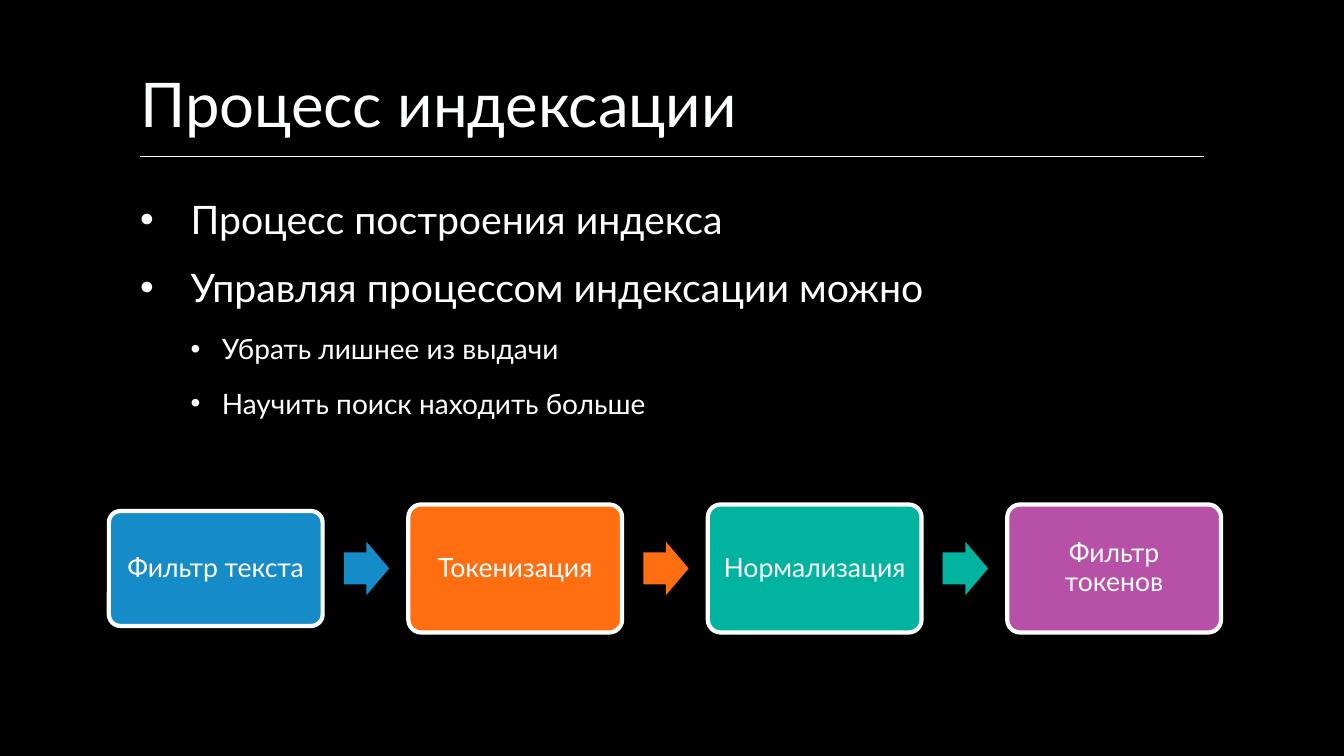
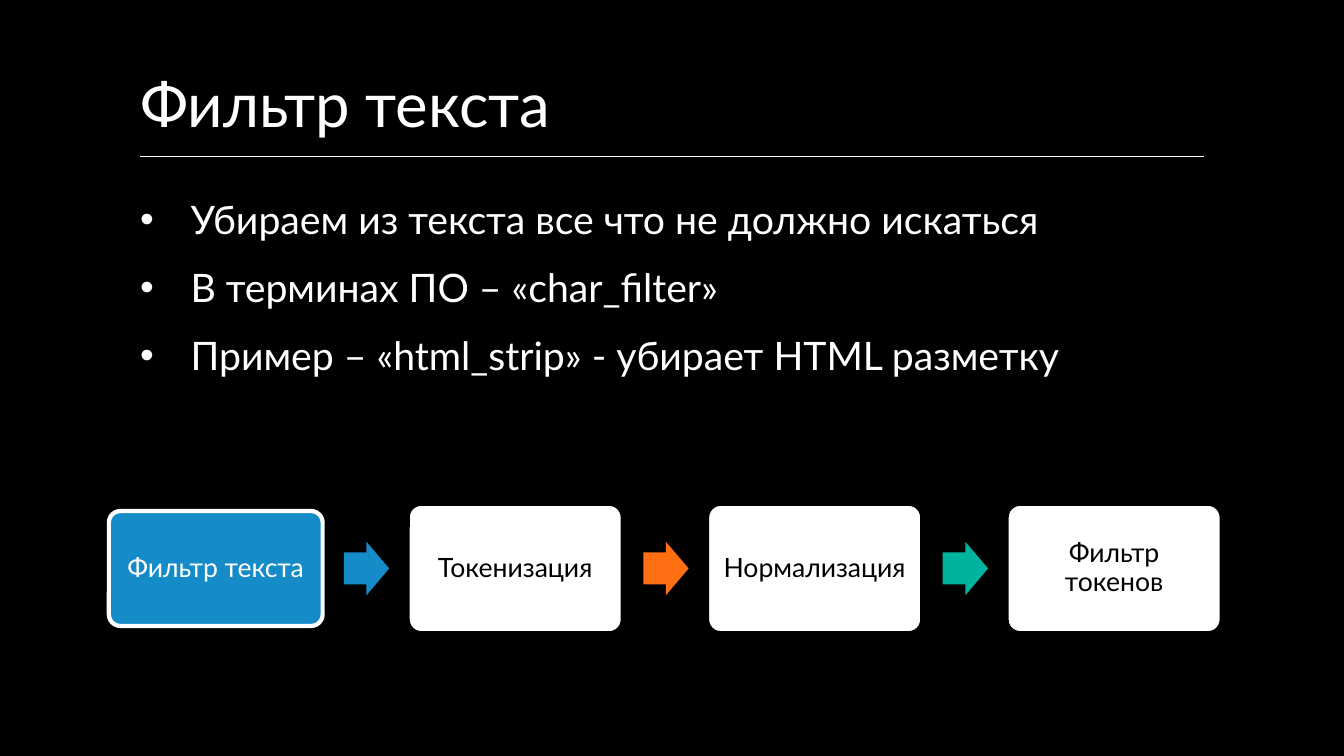
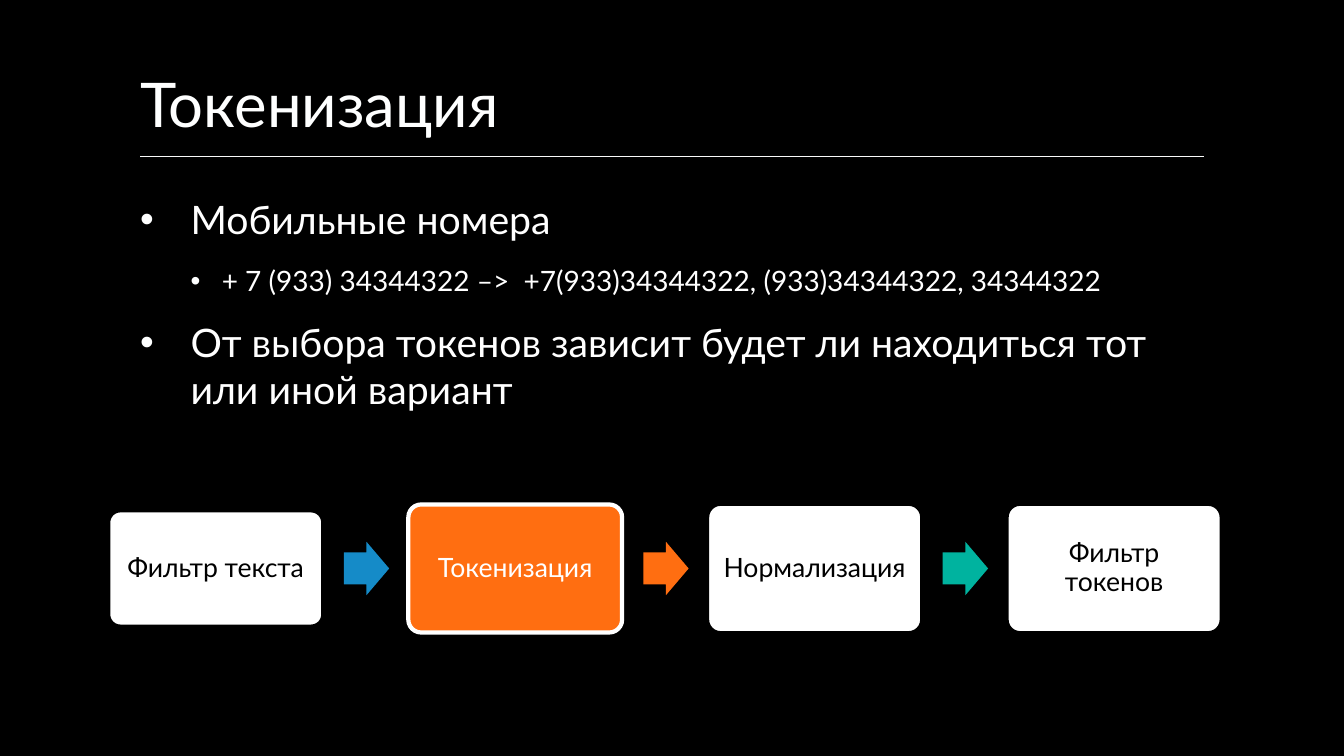
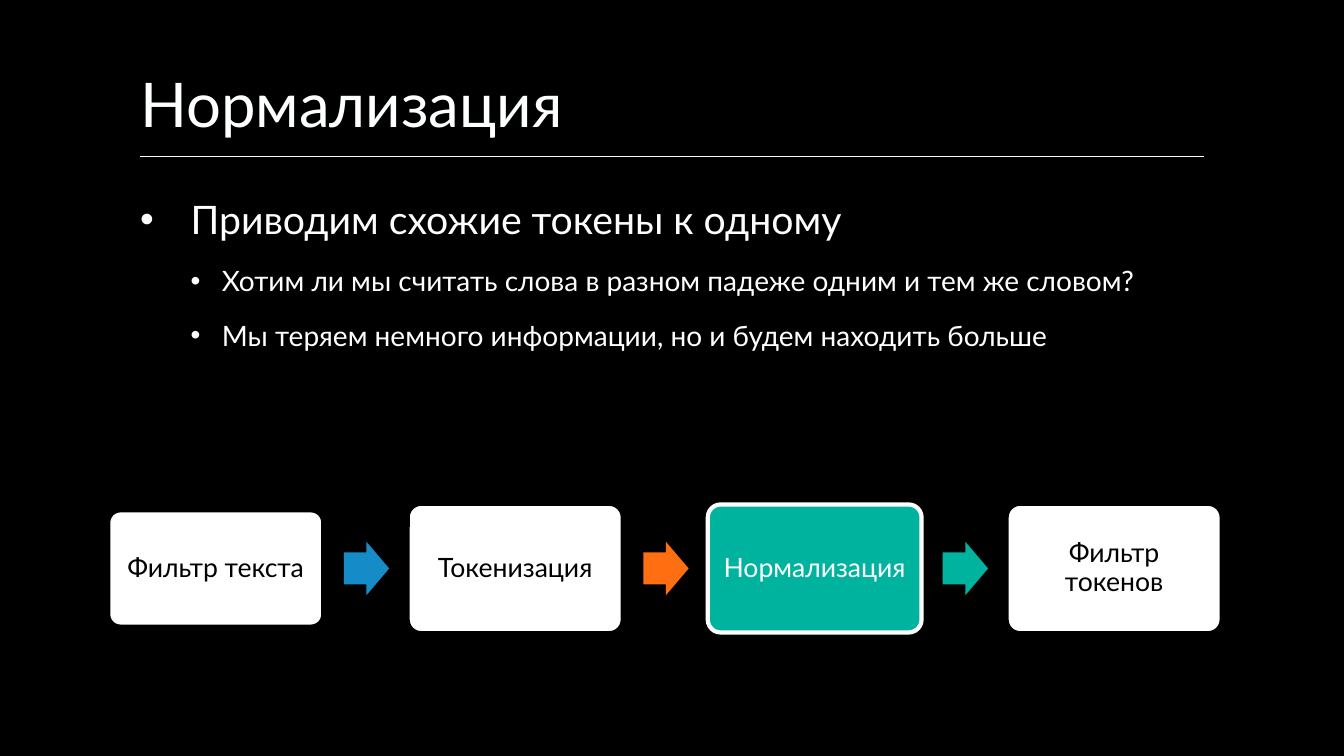
from dataclasses import dataclass

from lxml.etree import SubElement
from pptx import Presentation
from pptx.dml.color import RGBColor as Rgb
from pptx.enum.shapes import MSO_CONNECTOR as Conn, MSO_SHAPE as Kind
from pptx.enum.text import MSO_ANCHOR as Anchor, PP_ALIGN as Align
from pptx.oxml.ns import qn
from pptx.util import Inches, Pt


@dataclass(frozen=True)
class Theme:
    font: str = "Lato"
    back: str = "000000"
    ink: str = "FFFFFF"
    head: str = "FEFFFF"
    rule: str = "F8F9F9"
    title: int = 44
    body: tuple = (28, 20)  # by bullet level
    step: int = 19
    gap: int = 15


# Step name, colour and box height
STEPS = [
    ("Фильтр текста", "158BC8", 1.14),
    ("Токенизация", "FF6E11", 1.27),
    ("Нормализация", "00B39F", 1.27),
    ("Фильтр токенов", "B651A7", 1.27),
]

# Title, steps in colour, bullets as (level, text)
SLIDES = [
    ("Процесс индексации", {0, 1, 2, 3}, [
        (0, "Процесс построения индекса"),
        (0, "Управляя процессом индексации можно"),
        (1, "Убрать лишнее из выдачи"),
        (1, "Научить поиск находить больше"),
    ]),
    ("Фильтр текста", {0}, [
        (0, "Убираем из текста все что не должно искаться"),
        (0, "В терминах ПО – «char_filter»"),
        (0, "Пример – «html_strip» - убирает HTML разметку"),
    ]),
    ("Токенизация", {1}, [
        (0, "Мобильные номера"),
        (1, "+ 7 (933) 34344322 –>  +7(933)34344322, (933)34344322, 34344322"),
        (0, "От выбора токенов зависит будет ли находиться тот или иной вариант"),
    ]),
    ("Нормализация", {2}, [
        (0, "Приводим схожие токены к одному"),
        (1, "Хотим ли мы считать слова в разном падеже одним и тем же словом?"),
        (1, "Мы теряем немного информации, но и будем находить больше"),
    ]),
]

# Shared layout, in inches
LEFT, WIDE = 1.39, 10.55
FLOW_X, FLOW_Y, PITCH = 1.08, 5.64, 2.97  # first box, centre line, step
BOX_W, ARROW_W, ARROW_H, ARROW_DX = 2.12, 0.45, 0.53, 2.33
INDENTS = ((0.5, -0.5), (0.81, -0.31))


class Deck:
    def __init__(self, theme):
        self.theme = theme
        self.prs = Presentation()
        self.prs.slide_width, self.prs.slide_height = Inches(13.33), Inches(7.5)
        fill = self.prs.slide_master.background.fill
        fill.solid()
        fill.fore_color.rgb = Rgb.from_string(theme.back)
        self.slide = None

    def start(self):
        self.slide = self.prs.slides.add_slide(self.prs.slide_layouts[6])

    def style(self, para, size, color):
        for run in para.runs:
            font = run.font
            font.name, font.size = self.theme.font, Pt(size)
            font.color.rgb = Rgb.from_string(color)

    def frame(self, shape, insets, anchor):
        frame = shape.text_frame
        frame.word_wrap = True
        frame.vertical_anchor = anchor
        (frame.margin_left, frame.margin_top,
         frame.margin_right, frame.margin_bottom) = map(Inches, insets)
        return frame

    def text(self, top, high, insets, anchor):
        box = self.slide.shapes.add_textbox(
            Inches(LEFT), Inches(top), Inches(WIDE), Inches(high))
        return self.frame(box, insets, anchor)

    def title(self, text):
        frame = self.text(0.36, 1.18, (0, 0.05, 0, 0.15), Anchor.BOTTOM)
        frame.text = text
        self.style(frame.paragraphs[0], self.theme.title, self.theme.head)
        # Rule under the title
        rule = self.slide.shapes.add_connector(
            Conn.STRAIGHT, Inches(LEFT), Inches(1.55),
            Inches(LEFT + WIDE), Inches(1.55))
        rule.line.color.rgb = Rgb.from_string(self.theme.rule)
        rule.line.width = Pt(0.75)
        SubElement(rule._element.spPr, qn("a:effectLst"))

    def bullets(self, items):
        frame = self.text(1.94, 2.52, (0, 0, 0, 0), Anchor.TOP)
        frame.text = "\n".join(text for _, text in items)
        for para, (level, _) in zip(frame.paragraphs, items):
            para.level = level
            para.space_after = Pt(self.theme.gap)
            self.style(para, self.theme.body[level], self.theme.ink)
            # Bullet mark and hanging indent
            props = para._p.get_or_add_pPr()
            left, hang = INDENTS[level]
            props.set("marL", str(Inches(left)))
            props.set("indent", str(Inches(hang)))
            tint = SubElement(props, qn("a:buClr"))
            SubElement(tint, qn("a:srgbClr"), val=self.theme.head)
            SubElement(props, qn("a:buFont"), typeface="Arial")
            SubElement(props, qn("a:buChar"), char="•")

    def shape(self, kind, left, wide, high, color, adjust):
        shape = self.slide.shapes.add_shape(
            kind, Inches(left), Inches(FLOW_Y - high / 2),
            Inches(wide), Inches(high))
        shape.shadow.inherit = False
        for i, value in enumerate(adjust):
            shape.adjustments[i] = value
        shape.fill.solid()
        shape.fill.fore_color.rgb = Rgb.from_string(color)
        shape.line.fill.background()
        return shape

    def step(self, left, high, name, color, lit):
        look = self.theme
        fill, ink, edge, width = ((color, look.ink, look.ink, 3) if lit
                                  else (look.ink, look.back, look.back, 2))
        box = self.shape(Kind.ROUNDED_RECTANGLE, left, BOX_W, high, fill, [0.1])
        box.line.color.rgb = Rgb.from_string(edge)
        box.line.width = Pt(width)
        frame = self.frame(box, [0.08] * 4, Anchor.MIDDLE)
        frame.text = name
        para = frame.paragraphs[0]
        para.alignment, para.line_spacing = Align.CENTER, 0.9
        self.style(para, look.step, ink)

    def flow(self, lit):
        for i, (name, color, high) in enumerate(STEPS):
            left = FLOW_X + i * PITCH
            self.step(left, high, name, color, i in lit)
            if i < len(STEPS) - 1:
                self.shape(Kind.RIGHT_ARROW, left + ARROW_DX, ARROW_W,
                           ARROW_H, color, [0.6, 0.5])


def main():
    deck = Deck(Theme())
    for title, lit, items in SLIDES:
        deck.start()
        deck.title(title)
        deck.flow(lit)
        deck.bullets(items)
    deck.prs.save("out.pptx")


if __name__ == "__main__":
    main()
